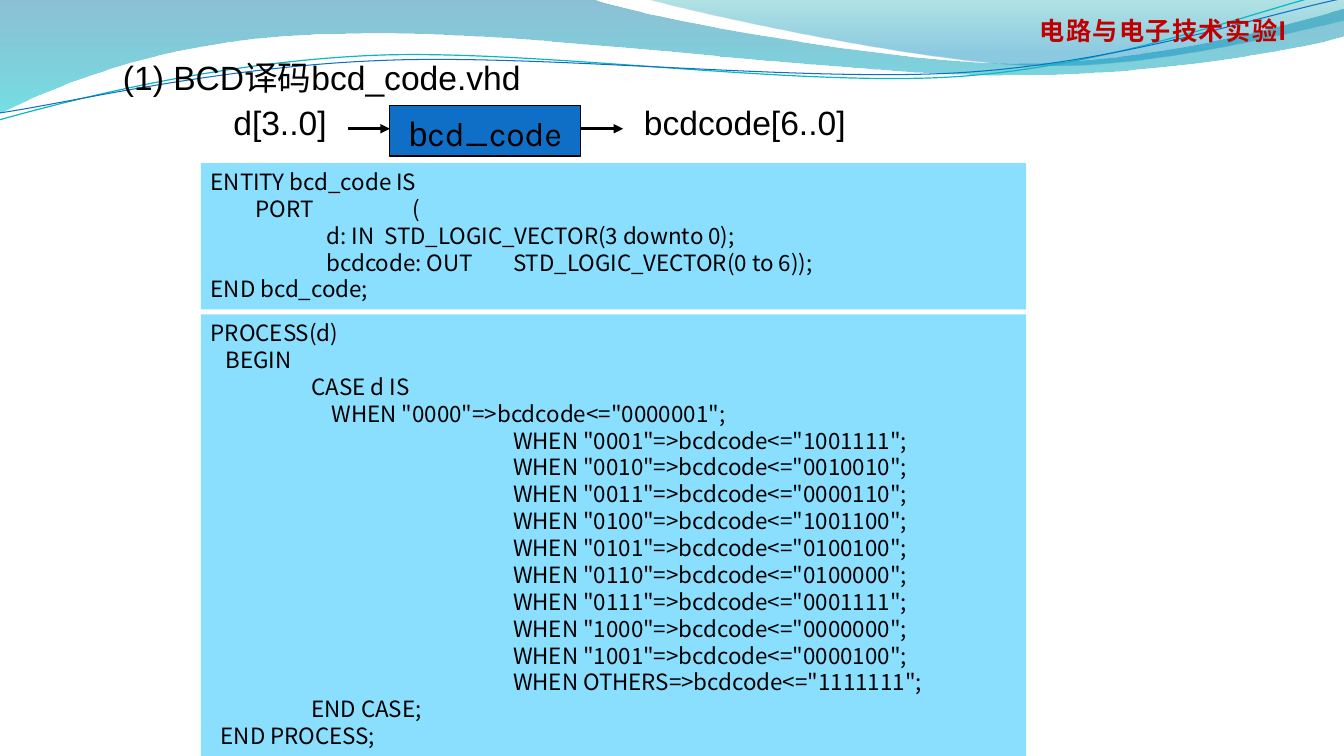
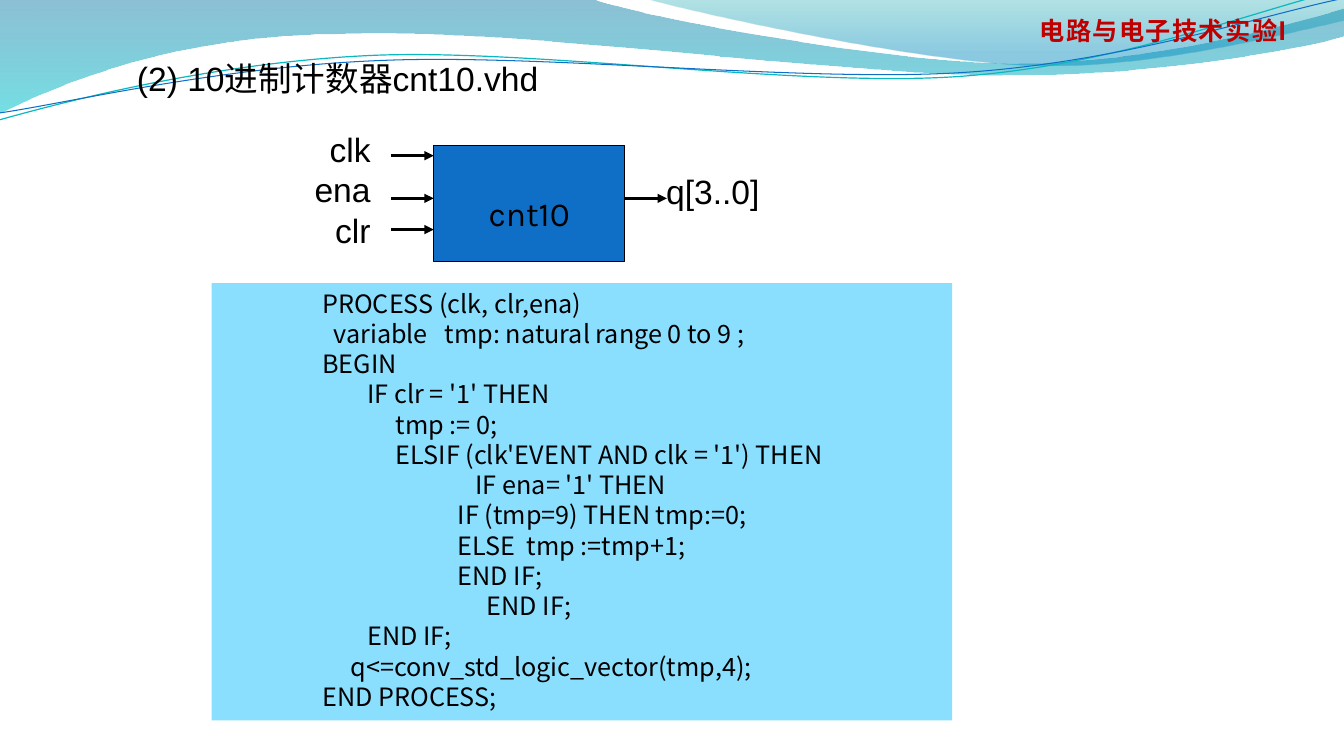
import pptx
import pptx.dml.color
import pptx.enum.shapes
import pptx.enum.text
import pptx.oxml
import pptx.oxml.ns
import pptx.util

Pt = pptx.util.Pt
RGBColor = pptx.dml.color.RGBColor
ALIGN = pptx.enum.text.PP_ALIGN
qn = pptx.oxml.ns.qn
NAMESPACE = pptx.oxml.ns.nsdecls("a")

BLACK = RGBColor(0x00, 0x00, 0x00)
HEADER_RED = RGBColor(0xC0, 0x00, 0x00)
CODE_BLUE = RGBColor(0x8A, 0xDF, 0xFF)
MODULE_BLUE = RGBColor(0x0F, 0x6F, 0xC6)
WAVE_TEAL = RGBColor(0x0A, 0xB8, 0xBF)
BAND_DEEP = RGBColor(0x00, 0x74, 0xA1)
BAND_CYAN = RGBColor(0x00, 0xC6, 0xCF)
BAND_TEAL = RGBColor(0x00, 0xA1, 0xA9)
BAND_SKY = RGBColor(0x00, 0x8B, 0xBF)

SANS = "Arial"
CJK = "Noto Sans CJK SC"
ROUND = "Karla"

LABEL = {"size": Pt(24), "name": SANS, "bold": False}
HEADER = {"size": Pt(18), "name": CJK, "bold": True}

MODULE_WIDTH = 136.4
WIRE_LENGTH = 30.2
LABEL_GAP = 38
TAB_WIDTH = 72

# Outlines in points: two numbers are a corner, six are a cubic curve.
# Gradient stops are position, colour and opacity in percent.
BANDS = [
    ([(0, -0.7), (422.6, -0.7), (456.5, 12.2, 637.2, 45.4, 727.9, 45.4),
      (819.4, 45.4, 920.2, 18.7, 959.8, 6.5), (961.2, 25.9),
      (943.9, 31.7, 835.2, 54.7, 715.7, 54),
      (596.9, 54, 366.5, 20.2, 247, 24.5),
      (123.8, 25.2, 43.9, 59.8, -0.7, 81.4)],
     [(0, BAND_DEEP, 45), (1, BAND_CYAN, 55)]),
    ([(460.1, -0.7), (488.9, 7.9, 654.5, 44.6, 738, 46.8),
      (821.5, 49.7, 923, 23, 959.8, 15.1), (959.8, 0)],
     [(0, BAND_TEAL, 30), (0.8, BAND_SKY, 45)]),
]
WAVES = [
    ([(-0.7, 85.7), (46.1, 72.7, 151.9, 44.6, 265.7, 39.6),
      (379.4, 34.6, 568.8, 62.6, 684, 54.7),
      (799.2, 46.8, 901.4, 5.8, 958.3, -7.2)],
     WAVE_TEAL, 0.85),
    ([(0, 80.6), (45.4, 74.2, 157, 47.5, 272.2, 43.2),
      (386.6, 38.2, 573.1, 59, 687.6, 51.8),
      (802.8, 44.6, 903.6, 10.1, 960.5, -1.4)],
     MODULE_BLUE, 0.75),
]

SEGMENTS = ["1001111", "0010010", "0000110", "1001100", "0100100",
            "0100000", "0001111", "0000000", "0000100"]
ENTITY_CODE = [
    "ENTITY bcd_code IS",
    "         PORT\t(",
    "\t   d: IN  STD_LOGIC_VECTOR(3 downto 0);",
    "\t   bcdcode: OUT \tSTD_LOGIC_VECTOR(0 to 6));",
    "END bcd_code;",
]
DECODER_CODE = [
    "PROCESS(d)",
    "   BEGIN",
    "\tCASE d IS",
    '\t    WHEN "0000"=>bcdcode<="0000001";',
    *[f'\t\t\tWHEN "{digit:04b}"=>bcdcode<="{segments}";'
      for digit, segments in enumerate(SEGMENTS, 1)],
    '\t\t\tWHEN OTHERS=>bcdcode<="1111111";',
    "\tEND CASE;",
    "  END PROCESS;",
]
COUNTER_CODE = [
    "\tPROCESS (clk, clr,ena)",
    "\t  variable   tmp: natural range 0 to 9 ;",
    "\tBEGIN",
    "\t        IF clr = '1' THEN",
    "\t             tmp := 0;",
    "\t             ELSIF (clk'EVENT AND clk = '1') THEN",
    "                                             IF ena= '1' THEN",
    "\t                        IF (tmp=9) THEN tmp:=0;",
    "\t                        ELSE  tmp :=tmp+1;",
    "\t                        END IF;",
    "                                               END IF;",
    "\t        END IF;",
    "\t     q<=conv_std_logic_vector(tmp,4);",
    "\tEND PROCESS;",
]


def points(*lengths):
    return [Pt(length) for length in lengths]


def xml(tag, attributes="", content=""):
    return pptx.oxml.parse_xml(
        f"<a:{tag} {NAMESPACE} {attributes}>{content}</a:{tag}>")


def write_text(shape, lines, style, color=BLACK, align=ALIGN.LEFT, wrap=True,
               top_inset=3.6):
    """Fill a shape; a line is a string or a list of (text, font name)."""
    frame = shape.text_frame
    frame_format = {
        "word_wrap": wrap, "auto_size": pptx.enum.text.MSO_AUTO_SIZE.NONE,
        "vertical_anchor": pptx.enum.text.MSO_ANCHOR.TOP,
        "margin_left": Pt(7.2), "margin_right": Pt(7.2),
        "margin_top": Pt(top_inset), "margin_bottom": Pt(3.6),
    }
    for name, value in frame_format.items():
        setattr(frame, name, value)
    for index, line in enumerate(lines):
        paragraph = frame.add_paragraph() if index else frame.paragraphs[0]
        paragraph.alignment = align
        paragraph.line_spacing = Pt(style["size"].pt * 1.2)
        parts = [(line, style["name"])] if isinstance(line, str) else line
        for text, font_name in parts:
            run = paragraph.add_run()
            run.text = text
            for name, value in {**style, "name": font_name}.items():
                setattr(run.font, name, value)
            run.font.color.rgb = color
    for properties in shape.element.iter(qn("a:pPr")):
        properties.set("defTabSz", str(Pt(TAB_WIDTH)))
    for latin in list(shape.element.iter(qn("a:latin"))):
        latin.addnext(xml("ea", f'typeface="{CJK}"'))


def add_label(slide, box, lines, align=ALIGN.LEFT, style=LABEL, color=BLACK):
    label = slide.shapes.add_textbox(*points(*box))
    write_text(label, lines, style, color, align)
    return label


def add_outline(slide, outline, close):
    """Draw corners and cubic curves as one freeform."""
    ends = [points(*segment[-2:]) for segment in outline]
    builder = slide.shapes.build_freeform(*ends[0], scale=1.0)
    builder.add_line_segments(ends[1:], close=close)
    shape = builder.convert_to_shape()
    shape.shadow.inherit = False
    sides = list(shape.element.iter(qn("a:lnTo")))
    for side, segment in zip(sides, outline[1:]):
        if len(segment) == 6:
            lengths = points(*segment)
            curve = "".join(
                f'<a:pt x="{x - shape.left}" y="{y - shape.top}"/>'
                for x, y in zip(lengths[::2], lengths[1::2]))
            side.getparent().replace(side, xml("cubicBezTo", content=curve))
    return shape


def add_band(slide, outline, stops):
    band = add_outline(slide, outline, close=True)
    band.line.fill.background()
    band.fill.gradient()
    band.fill.gradient_angle = 270
    for stop, (position, color, _) in zip(band.fill.gradient_stops, stops):
        stop.position = position
        stop.color.rgb = color
    gradient = band.element.spPr.find(qn("a:gradFill"))
    for color, (_, _, opacity) in zip(gradient.iter(qn("a:srgbClr")), stops):
        color.append(xml("alpha", f'val="{opacity * 1000}"'))
    return band


def add_wave(slide, outline, color, width):
    wave = add_outline(slide, outline, close=False)
    wave.fill.background()
    wave.line.color.rgb = color
    wave.line.width = Pt(width)
    return wave


def decorate_layout(layout, slide):
    """Draw the shared header on a slide, then move it to its layout."""
    parts = [add_band(slide, *band) for band in BANDS]
    parts += [add_wave(slide, *wave) for wave in WAVES]
    course = add_label(slide, (735.5, 7.5, 211, 29), ["电路与电子技术实验I"],
                       style=HEADER, color=HEADER_RED)
    for properties in course.element.iter(qn("a:rPr")):
        properties.set("spc", "100")
    for part in parts + [course]:
        layout.shapes.element.append(part.element)


def place_title(slide, box, text):
    title = slide.shapes.title
    title.left, title.top, title.width, title.height = points(*box)
    write_text(title, [text], LABEL)


def add_box(slide, box, fill):
    shape = slide.shapes.add_shape(
        pptx.enum.shapes.MSO_SHAPE.RECTANGLE, *points(*box))
    shape.shadow.inherit = False
    shape.fill.solid()
    shape.fill.fore_color.rgb = fill
    return shape


def add_code(slide, box, lines, size):
    panel = add_box(slide, box, CODE_BLUE)
    panel.line.fill.background()
    write_text(panel, lines, {"size": Pt(size), "name": CJK, "bold": False})


def add_wire(slide, left, y):
    wire = slide.shapes.add_connector(
        pptx.enum.shapes.MSO_CONNECTOR.STRAIGHT,
        *points(left, y, left + WIRE_LENGTH, y))
    wire.line.color.rgb = BLACK
    wire.line.width = Pt(2.25)
    properties = wire.element.spPr
    properties.find(qn("a:ln")).append(xml("tailEnd", 'type="triangle"'))
    properties.append(xml("effectLst"))


def add_module(slide, box, name, name_inset, inputs, output):
    """Draw a module; inputs and output give labels, offset and wire heights."""
    left, top, width, height = box
    right = left + width
    module = add_box(slide, box, MODULE_BLUE)
    module.line.color.rgb = BLACK
    module.line.width = Pt(0.75)
    write_text(module, [name], LABEL, align=ALIGN.CENTER, wrap=False,
               top_inset=name_inset)
    labels, label_offset, wire_offsets = inputs
    for offset in wire_offsets:
        add_wire(slide, left - WIRE_LENGTH, top + offset)
    add_label(slide, (left - LABEL_GAP - 98, top + label_offset, 98,
                      7.2 + 28.8 * len(labels)), labels, ALIGN.RIGHT)
    label, gap, label_offset, wire_offset = output
    add_wire(slide, right, top + wire_offset)
    add_label(slide, (right + gap, top + label_offset, 166, 36), [label])


def build_decoder_slide(slide):
    place_title(slide, (80.6, 37.2, 325, 36), "(1) BCD译码bcd_code.vhd")
    add_code(slide, (143.5, 224.5, 589.5, 317.5), DECODER_CODE, 16)
    add_module(slide, (278.5, 75.5, MODULE_WIDTH, 36),
               [("b", SANS), ("cd_code", ROUND)], 5,
               (["d[3..0]"], -6.5, [16.5]),
               ("bcdcode[6..0]", LABEL_GAP, -6.5, 16.5))
    add_code(slide, (143.5, 116.5, 589.5, 104.5), ENTITY_CODE, 16)


def build_counter_slide(slide):
    place_title(slide, (90.6, 37.5, 325, 36), "(2) 10进制计数器cnt10.vhd")
    add_code(slide, (151.2, 202.2, 529, 312.5), COUNTER_CODE, 18)
    add_module(slide, (309.8, 103.7, MODULE_WIDTH, 83),
               [("cnt10", ROUND)], 33.8,
               (["clk", "ena", "clr"], -15.2, [7.5, 38, 60.3]),
               ("q[3..0]", 22.6, 14.8, 38))


def main():
    presentation = pptx.Presentation()
    presentation.slide_width, presentation.slide_height = points(960, 540)
    layout = presentation.slide_layouts.get_by_name("Title Only")
    slides = [presentation.slides.add_slide(layout) for _ in range(2)]
    decorate_layout(layout, slides[0])
    for build, slide in zip((build_decoder_slide, build_counter_slide), slides):
        build(slide)
    presentation.save("out.pptx")


if __name__ == "__main__":
    main()
